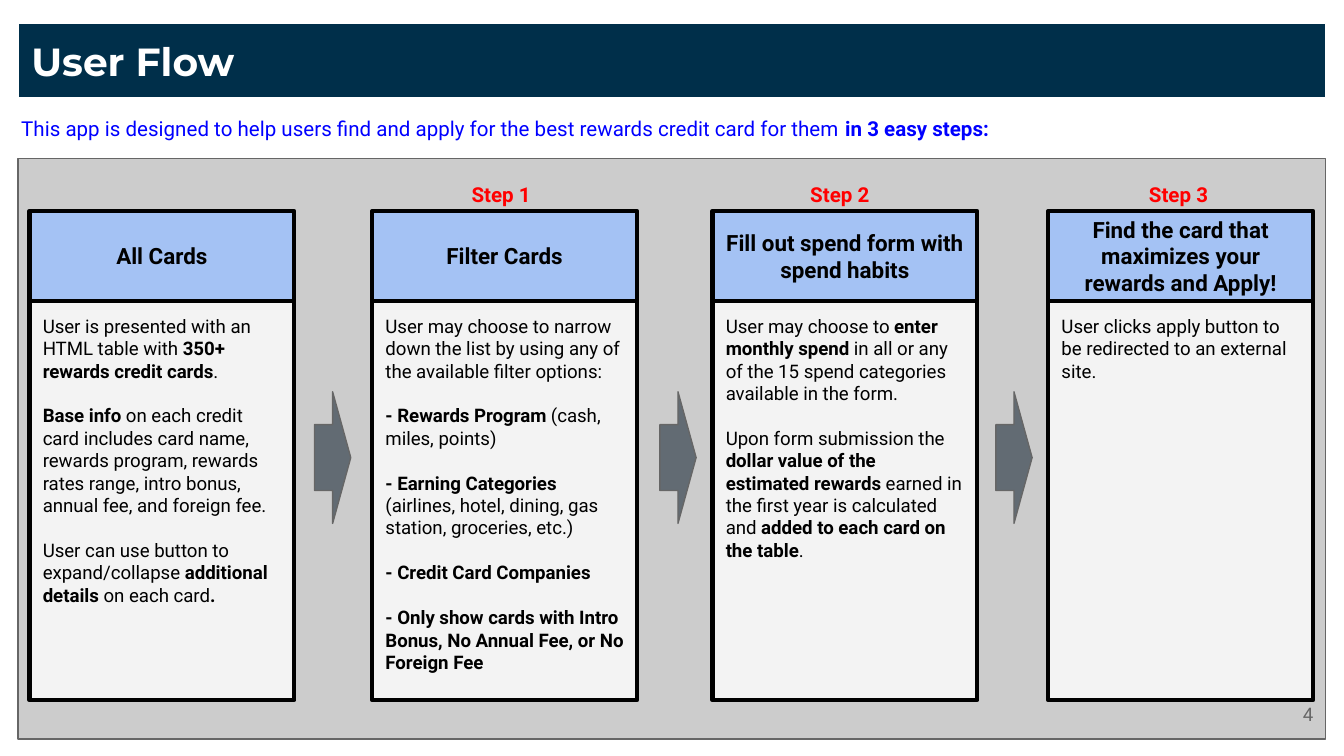
from dataclasses import dataclass
from typing import Optional

from pptx import Presentation
from pptx.dml.color import RGBColor
from pptx.enum.shapes import MSO_SHAPE as Shape
from pptx.enum.text import MSO_ANCHOR as Anchor, PP_ALIGN as Align
from pptx.util import Inches, Pt

COLORS = {
    "navy": "002F4A", "white": "FFFFFF", "panel": "CCCCCC", "gray": "666666",
    "body": "F3F3F3", "black": "000000", "header": "A4C2F4", "arrow": "626B73",
    "blue": "0000FF", "red": "FF0000",
}
SLIDE_W = 10
SLIDE_H = SLIDE_W * 9 / 16
CARD_W = 19.7
HEAD_TOP, HEAD_H = 15.7, 6.7
BODY_TOP, BODY_H = HEAD_TOP + HEAD_H, 29.7
ARROW_TOP, ARROW_W, ARROW_H = 29.15, 2.7, 9.8
STEP_TOP, STEP_W, STEP_H = 12.6, 8.8, 3.8


@dataclass(frozen=True)
class Box:
    """Place and size as percentages of the slide's width."""
    left: float
    top: float
    width: float
    height: float

    def emu(self) -> list[int]:
        sides = (self.left, self.top, self.width, self.height)
        return [Inches(SLIDE_W * side / 100) for side in sides]


@dataclass(frozen=True)
class Step:
    label: str
    left: float
    arrow_left: float


@dataclass(frozen=True)
class Card:
    left: float
    title: str
    paragraphs: tuple[str, ...]
    step: Optional[Step] = None


CARDS = (
    Card(2.2, "All Cards", (
        "User is presented with an HTML table with **350+ rewards credit cards**.",
        "**Base info** on each credit card includes card name, rewards program, "
        "rewards rates range, intro bonus, annual fee, and foreign fee.",
        "User can use button to expand/collapse **additional details** on each card**. **",
    )),
    Card(27.7, "Filter Cards", (
        "User may choose to narrow down the list by using any of the available filter options:",
        "**- Rewards Program** (cash, miles, points)",
        "**- Earning Categories **(airlines, hotel, dining, gas station, groceries, etc.)",
        "**- Credit Card Companies**",
        "**- Only show cards with Intro Bonus, No Annual Fee, or No Foreign Fee **",
    ), Step("Step 1", 34.1, 23.4)),
    Card(53.02, "Fill out spend form with spend habits", (
        "User may choose to **enter monthly spend** in all or any of the 15 spend "
        "categories available in the form.",
        "Upon form submission the **dollar value of the estimated rewards** earned in the "
        "first year is calculated and **added to each card on the table**.",
    ), Step("Step 2", 59.3, 49.1)),
    Card(78, "Find the card that maximizes your rewards and Apply!", (
        "User clicks apply button to be redirected to an external site.",
    ), Step("Step 3", 84.5, 74.1)),
)


def rgb(name: str) -> RGBColor:
    return RGBColor.from_string(COLORS[name])


def write(s, *paragraphs: str, size: float = 10, color: str = "black",
          font: str = "Roboto", align=Align.LEFT, anchor=Anchor.TOP, gap: float = 0) -> None:
    tf = s.text_frame
    tf.word_wrap = True
    tf.vertical_anchor = anchor
    tf.margin_left = tf.margin_right = tf.margin_top = tf.margin_bottom = Inches(0.1)
    for i, text in enumerate(paragraphs):
        p = tf.add_paragraph() if i else tf.paragraphs[0]
        p.alignment = align
        p.space_before = Pt(gap if i else 0)
        for j, part in enumerate(text.split("**")):
            if part:
                r = p.add_run()
                r.text = part
                r.font.name, r.font.size = font, Pt(size)
                r.font.bold = j % 2 == 1
                r.font.color.rgb = rgb(color)


def add_block(slide, box: Box, fill: str, line: str, weight: float = 0.75,
              kind=Shape.RECTANGLE):
    s = slide.shapes.add_shape(kind, *box.emu())
    s.shadow.inherit = False
    s.fill.solid()
    s.fill.fore_color.rgb = rgb(fill)
    s.line.color.rgb = rgb(line)
    s.line.width = Pt(weight)
    return s


def add_label(slide, box: Box, text: str, **style) -> None:
    write(slide.shapes.add_textbox(*box.emu()), text, **style)


def draw_card(slide, card: Card) -> None:
    body = add_block(slide, Box(card.left, BODY_TOP, CARD_W, BODY_H), "body", "black", 2.25)
    write(body, *card.paragraphs, gap=12)
    head = add_block(slide, Box(card.left, HEAD_TOP, CARD_W, HEAD_H), "header", "black", 2.25)
    write(head, f"**{card.title}**", size=12, align=Align.CENTER, anchor=Anchor.MIDDLE)
    if card.step:
        add_block(slide, Box(card.step.arrow_left, ARROW_TOP, ARROW_W, ARROW_H),
                  "arrow", "gray", kind=Shape.RIGHT_ARROW)
        add_label(slide, Box(card.step.left, STEP_TOP, STEP_W, STEP_H),
                  f"**{card.step.label}**", size=11, color="red")


prs = Presentation()
prs.slide_width, prs.slide_height = Inches(SLIDE_W), Inches(SLIDE_H)
slide = prs.slides.add_slide(prs.slide_layouts[6])

banner = add_block(slide, Box(1.35, 1.75, 97.3, 5.5), "navy", "white")
write(banner, "**User Flow**", size=21, color="white", font="Montserrat")
add_block(slide, Box(1.35, 11.8, 97.3, 43.2), "panel", "gray")
for card in CARDS:
    draw_card(slide, card)
add_label(slide, Box(0.6, 7.7, 80.3, 3.8),
          "This app is designed to help users find and apply for the best rewards "
          "credit card for them** in 3 easy steps:**", size=11, color="blue")
add_label(slide, Box(92.7, 51, 6, 4.3), "4", color="gray",
          align=Align.RIGHT, anchor=Anchor.MIDDLE)

prs.save("out.pptx")
